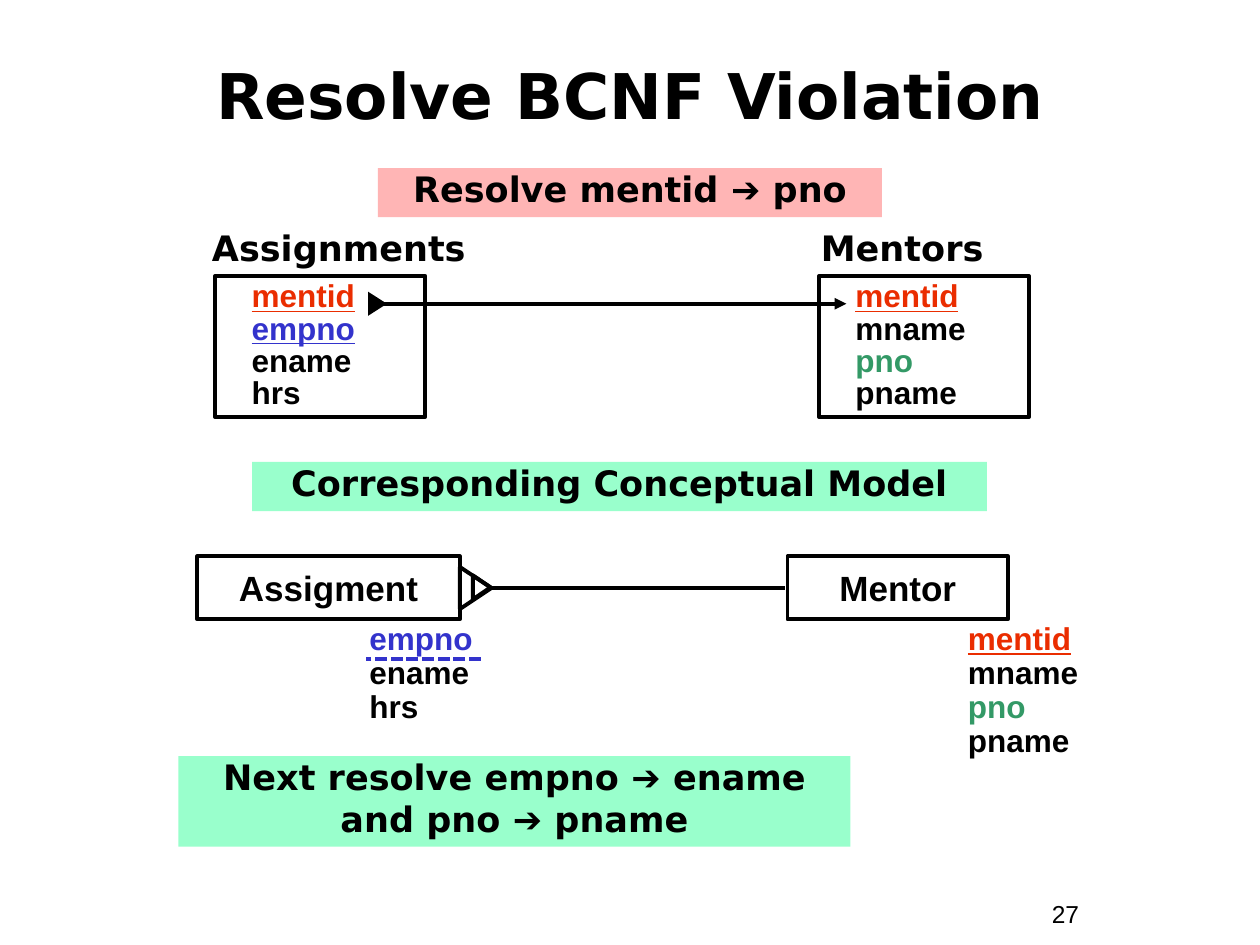
from lxml import etree
from pptx import Presentation
from pptx.dml.color import RGBColor
from pptx.enum.dml import MSO_LINE
from pptx.enum.shapes import MSO_CONNECTOR, MSO_SHAPE
from pptx.enum.text import MSO_ANCHOR, PP_ALIGN
from pptx.oxml.ns import qn
from pptx.util import Inches, Pt

RECT, TRI = MSO_SHAPE.RECTANGLE, MSO_SHAPE.ISOSCELES_TRIANGLE
LINE = MSO_CONNECTOR.STRAIGHT
DOTS = MSO_LINE.SQUARE_DOT
MID, TOP = MSO_ANCHOR.MIDDLE, MSO_ANCHOR.TOP
LEFT, MIDDLE = PP_ALIGN.LEFT, PP_ALIGN.CENTER
SANS, HEAD = "Arial", "DejaVu Sans"
BLACK, RED, BLUE, GREEN = "000000", "EA2D00", "3333CC", "339966"
PINK, MINT = "FFB5B5", "99FFCC"
COLS, ROWS = 120, 90
WIDE, HIGH = Inches(10), Inches(7.5)
MENTOR = [("mentid", RED, True), ("mname", BLACK, False),
          ("pno", GREEN, False), ("pname", BLACK, False)]
WORK = [("ename", BLACK, False), ("hrs", BLACK, False)]


def grid(*nums):
    """Turn alternating columns and rows into slide lengths."""
    return [round(n * (HIGH / ROWS if i % 2 else WIDE / COLS))
            for i, n in enumerate(nums)]


def hue(code):
    """Return the colour for a hex string."""
    return RGBColor.from_string(code)


def add_run(para, text, size, font=SANS, color=BLACK, under=False, bold=True):
    """Add one formatted run to a paragraph."""
    run = para.add_run()
    run.text = text
    face = run.font
    face.size, face.name, face.bold = Pt(size), font, bold
    face.underline = under
    face.color.rgb = hue(color)


def write(shape, lines, align=LEFT, space=1.0, anchor=TOP, indent=0, gap=0):
    """Fill a shape with paragraphs, each a list of run arguments."""
    frame = shape.text_frame
    frame.word_wrap = True
    frame.vertical_anchor = anchor
    for i, runs in enumerate(lines):
        para = frame.add_paragraph() if i else frame.paragraphs[0]
        para.alignment, para.line_spacing = align, space
        if i and gap:
            para.space_before = Pt(gap)
        if indent:
            props = para._p.get_or_add_pPr()
            props.set("marL", str(Inches(indent)))
            props.set("indent", "0")
        for run in runs:
            add_run(para, *run)


def block(shapes, box, kind=RECT, fill=None, edge=None):
    """Add a preset shape with a plain fill and edge."""
    shape = shapes.add_shape(kind, *grid(*box))
    shape.shadow.inherit = False
    if fill:
        shape.fill.solid()
        shape.fill.fore_color.rgb = hue(fill)
    else:
        shape.fill.background()
    if edge:
        shape.line.color.rgb = hue(edge)
        shape.line.width = Pt(2.25)
    else:
        shape.line.fill.background()
    return shape


def label(shapes, box, lines, **style):
    """Add a text box."""
    write(shapes.add_textbox(*grid(*box)), lines, **style)


def link(shapes, ends, color=BLACK, dash=None, arrow=False):
    """Draw a straight line, with an arrowhead if asked."""
    line = shapes.add_connector(LINE, *grid(*ends))
    line.line.color.rgb = hue(color)
    line.line.width = Pt(2.25)
    if dash:
        line.line.dash_style = dash
    if arrow:
        tail = etree.SubElement(line.line._get_or_add_ln(), qn("a:tailEnd"))
        tail.set("type", "triangle")
    etree.SubElement(line._element.spPr, qn("a:effectLst"))


def fields(items):
    """Turn field rows into paragraphs of one run."""
    return [[(name, 18, SANS, color, under)] for name, color, under in items]


def banner(shapes, box, lines, fill):
    """Add a coloured strip whose arrows use their own font."""
    paras = [[(part, 20, SANS if part == "➔" else HEAD) for part in line]
             for line in lines]
    write(block(shapes, box, fill=fill), paras, MIDDLE, 0.85, gap=3.7)


def table(shapes, box, name, items, shift):
    """Draw a relation as a caption above a box of fields."""
    x, y, w, h = box
    label(shapes, (x - shift, y - 5.28, w + 7, 5.28), [[(name, 20, HEAD)]])
    write(block(shapes, box, edge=BLACK), fields(items),
          space=0.85, indent=0.19)


def entity(shapes, box, name, items, shift):
    """Draw an entity box with its attributes below."""
    x, y, w, h = box
    write(block(shapes, box, edge=BLACK), [[(name, 20)]], MIDDLE, anchor=MID)
    label(shapes, (x + shift, y + h - 0.25, 14, 3.5 * len(items)),
          fields(items), space=0.9)


def foot(shapes, box):
    """Draw a crow's foot as two nested triangles."""
    x, y, w, h = box
    group = shapes.add_group_shape().shapes
    for part in (box, (x + 0.36 * w, y + 0.2 * h, 0.57 * w, 0.56 * h)):
        block(group, part, TRI, edge=BLACK).rotation = 90


def heading(slide, box, text):
    """Place and format the title."""
    title = slide.shapes.title
    title.left, title.top, title.width, title.height = grid(*box)
    write(title, [[(text, 36, HEAD)]], MIDDLE, 0.85, MID)


def relations(shapes, x, y):
    """Draw both tables and the reference between them."""
    own = [MENTOR[0], ("empno", BLUE, True)] + WORK
    table(shapes, (x, y, 20, 13.44), "Assignments", own, 1.5)
    table(shapes, (x + 57.5, y, 20, 13.44), "Mentors", MENTOR, 1)
    link(shapes, (x + 15.5, y + 2.65, x + 60.1, y + 2.65), arrow=True)
    mark = block(shapes, (x + 14.3, y + 1.75, 2.3, 1.8), TRI, BLACK)
    mark.rotation = 90


def model(shapes, x, y):
    """Draw both entities and the relationship between them."""
    entity(shapes, (x + 56.2, y, 21, 6), "Mentor", MENTOR, 16)
    entity(shapes, (x, y, 25, 6), "Assigment",
           [("empno", BLUE, False)] + WORK, 15.2)
    link(shapes, (x + 28, y + 3, x + 56, y + 3))
    link(shapes, (x + 27, y + 9.76, x + 16.1, y + 9.76), BLUE, DOTS)
    foot(shapes, (x + 24.5, y + 1.5, 4, 3))


def main():
    """Build the slide and save it."""
    deck = Presentation()
    deck.slide_width, deck.slide_height = WIDE, HIGH
    slide = deck.slides.add_slide(deck.slide_layouts[5])
    shapes = slide.shapes
    heading(slide, (4, 4, 112, 11), "Resolve BCNF Violation")
    banner(shapes, (36, 16, 48, 4.68),
           [["Resolve mentid ", "➔", " pno"]], PINK)
    relations(shapes, 20.5, 26.28)
    banner(shapes, (24, 44, 70, 4.68),
           [["Corresponding Conceptual Model"]], MINT)
    model(shapes, 18.8, 53)
    banner(shapes, (17, 72, 64, 8.64),
           [["Next resolve empno ", "➔", " ename"],
            ["and pno ", "➔", " pname"]], MINT)
    label(shapes, (99, 85, 11, 4),
          [[("27", 14, SANS, BLACK, False, False)]])
    deck.save("out.pptx")


if __name__ == "__main__":
    main()
